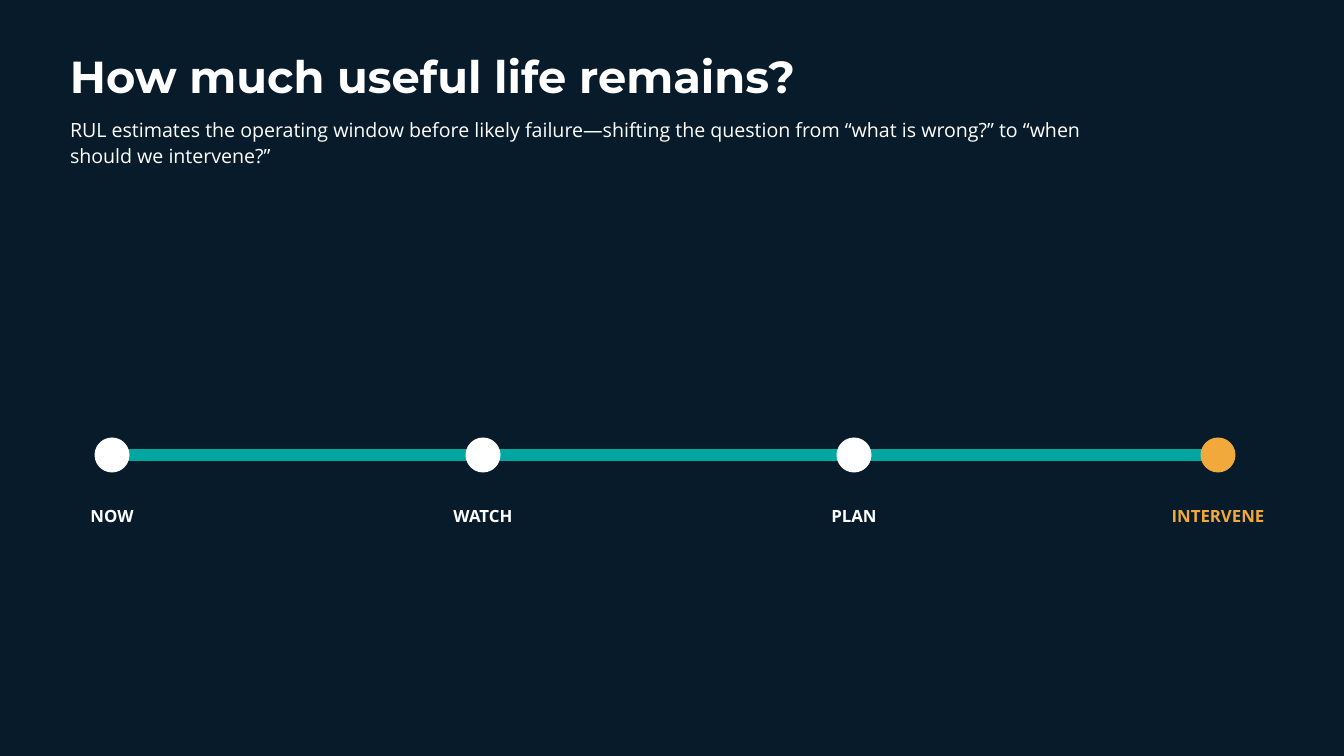
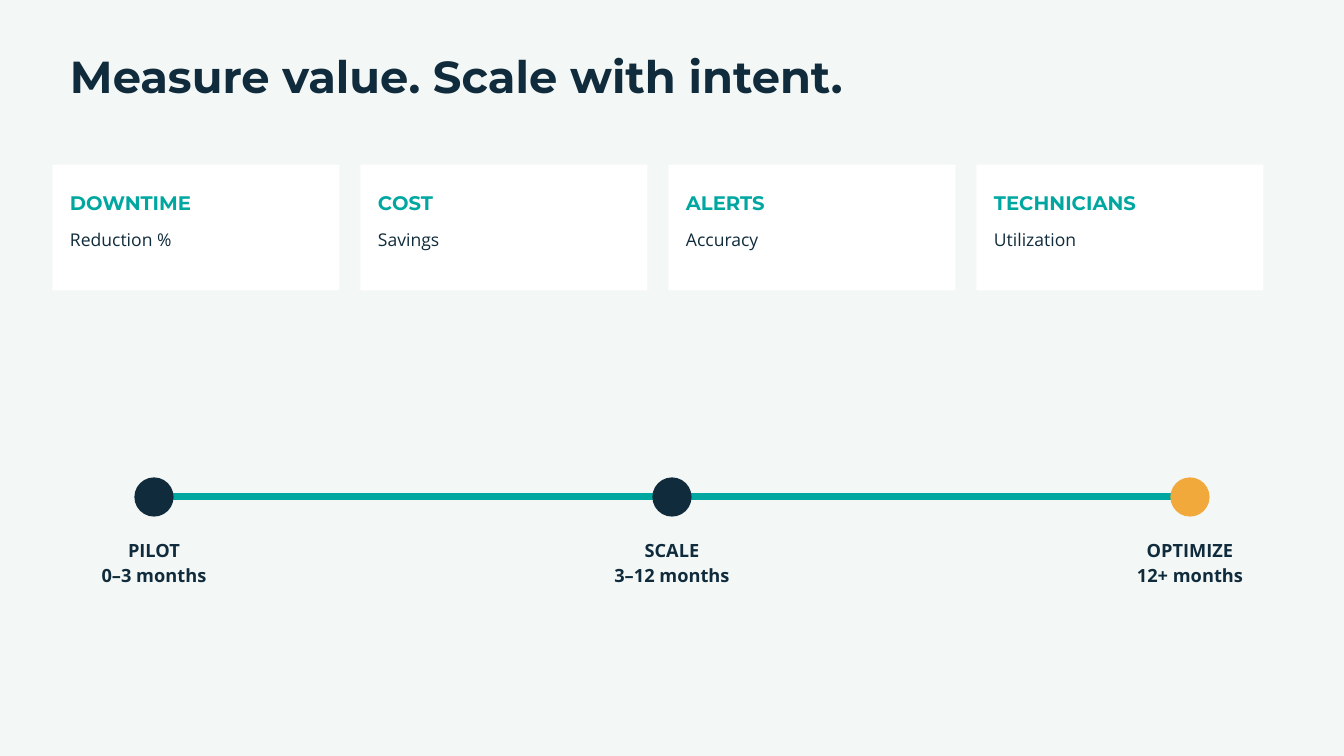
from lxml import etree
from pptx import Presentation, util as u
from pptx.dml.color import RGBColor
from pptx.enum import shapes, text
from pptx.oxml.ns import qn

WIDTH, HEIGHT = 20, 11.25
COLUMNS, ROWS = 960, 540
NIGHT, MIST, WHITE = "071B2B", "F3F7F6", "FFFFFF"
INK, TEAL, AMBER = "102B3B", "00A7A0", "F2A93B"
HEADING, BODY = "Montserrat", "Open Sans"
MARGIN = 50


def color(value):
    return RGBColor.from_string(value)


def col(count):
    return u.Inches(count * WIDTH / COLUMNS)


def row(count):
    return u.Inches(count * HEIGHT / ROWS)


class Deck:
    """Presentation style and the slide being filled; lengths are grid columns and rows."""

    def __init__(self):
        self.file = Presentation()
        self.file.slide_width, self.file.slide_height = col(COLUMNS), row(ROWS)
        self.slide = None

    def start(self, background, heading, heading_color):
        self.slide = self.file.slides.add_slide(self.file.slide_layouts[6])
        fill = self.slide.background.fill
        fill.solid()
        fill.fore_color.rgb = color(background)
        self.label(heading, MARGIN, 38.5, 750, 35, 48, heading_color, 51.8, HEADING, True)

    def label(self, words, left, top, width, height, size, ink, leading,
              font=BODY, bold=False, align=text.PP_ALIGN.LEFT):
        box = self.slide.shapes.add_textbox(col(left), row(top), col(width), row(height))
        frame = box.text_frame
        frame.margin_left = frame.margin_right = frame.margin_top = frame.margin_bottom = 0
        frame.word_wrap = True
        frame.auto_size = text.MSO_AUTO_SIZE.SHAPE_TO_FIT_TEXT
        frame.text = words
        for paragraph in frame.paragraphs:
            paragraph.alignment = align
            paragraph.line_spacing = u.Pt(leading)
            for run in paragraph.runs:
                run.font.name, run.font.size, run.font.bold = font, u.Pt(size), bold
                run.font.color.rgb = color(ink)

    def shape(self, kind, left, top, width, height, fill):
        item = self.slide.shapes.add_shape(kind, col(left), row(top), col(width), row(height))
        item.shadow.inherit = False
        item.fill.solid()
        item.fill.fore_color.rgb = color(fill)
        item.line.fill.background()

    def track(self, start, end, y, weight):
        line = self.slide.shapes.add_connector(
            shapes.MSO_CONNECTOR.STRAIGHT, col(start), row(y), col(end), row(y))
        line.line.color.rgb = color(TEAL)
        line.line.width = u.Pt(weight)
        etree.SubElement(line._element.spPr, qn("a:effectLst"))

    def timeline(self, stops, y, weight, dot, label_top, label_width, label_height,
                 size, leading):
        """Draw a track with a dot and label at each (centre, label, dot colour, ink)."""
        self.track(stops[0][0], stops[-1][0], y, weight)
        for center, words, fill, ink in stops:
            self.shape(shapes.MSO_SHAPE.OVAL, center - dot / 2, y - dot / 2, dot, dot, fill)
            self.label(words, center - label_width / 2, label_top, label_width, label_height,
                       size, ink, leading, bold=True, align=text.PP_ALIGN.CENTER)

    def card(self, left, metric, measure):
        self.shape(shapes.MSO_SHAPE.RECTANGLE, left, 117.5, 205, 90, WHITE)
        inner = left + 12.5
        self.label(metric, inner, 133.5, 190, 18, 21, TEAL, 29.4, HEADING, True)
        self.label(measure, inner, 161, 190, 16, 18.8, INK, 26.2)


def remaining_life(deck):
    deck.start(NIGHT, "How much useful life remains?", WHITE)
    deck.label("RUL estimates the operating window before likely failure—shifting the "
               "question from “what is wrong?” to “when should we intervene?”",
               MARGIN, 82, 725, 36.5, 21, WHITE, 28.4)
    stops = [(80, "NOW", WHITE, WHITE), (345, "WATCH", WHITE, WHITE),
             (610, "PLAN", WHITE, WHITE), (870, "INTERVENE", AMBER, AMBER)]
    deck.timeline(stops, y=325, weight=12, dot=25, label_top=358.5, label_width=100,
                  label_height=16, size=18, leading=25.2)


def value_and_scale(deck):
    deck.start(MIST, "Measure value. Scale with intent.", INK)
    metrics = [("DOWNTIME", "Reduction %"), ("COST", "Savings"),
               ("ALERTS", "Accuracy"), ("TECHNICIANS", "Utilization")]
    for index, (metric, measure) in enumerate(metrics):
        deck.card(37.5 + 220 * index, metric, measure)
    phases = [("PILOT\n0–3 months", INK), ("SCALE\n3–12 months", INK),
              ("OPTIMIZE\n12+ months", AMBER)]
    stops = [(110 + 370 * index, words, fill, INK)
             for index, (words, fill) in enumerate(phases)]
    deck.timeline(stops, y=355, weight=7.5, dot=28, label_top=382.5, label_width=160,
                  label_height=36, size=19.5, leading=27.3)


def main():
    deck = Deck()
    remaining_life(deck)
    value_and_scale(deck)
    deck.file.save("out.pptx")


if __name__ == "__main__":
    main()
